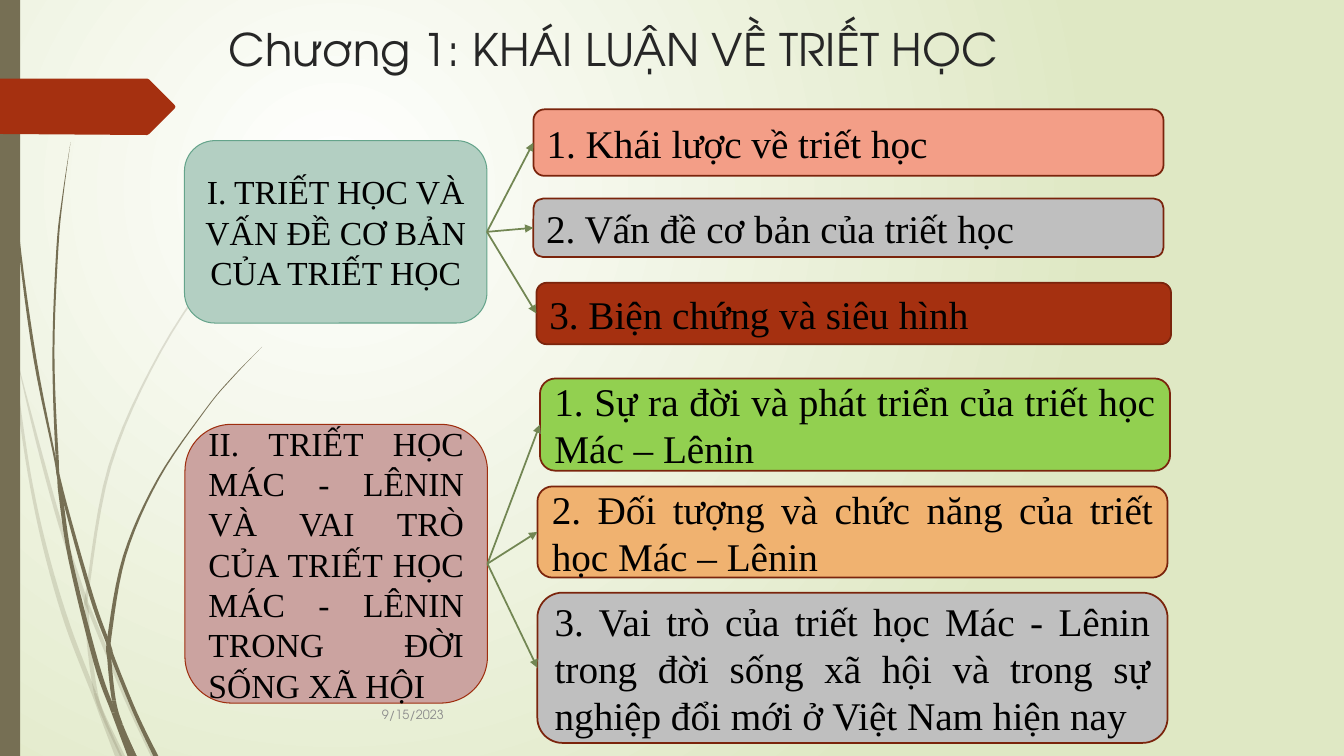
from dataclasses import dataclass

from lxml.etree import SubElement as Sub
from pptx import Presentation
from pptx.dml.color import RGBColor as Rgb
from pptx.enum.shapes import MSO_CONNECTOR as Link, MSO_SHAPE as Kind
from pptx.enum.text import MSO_ANCHOR as Anchor, PP_ALIGN as Align
from pptx.oxml.ns import qn
from pptx.util import Inches, Pt


@dataclass(frozen=True)
class Theme:
    head: str = "TeX Gyre Adventor"
    body: str = "Times New Roman"
    big: int = 32
    mid: int = 28
    small: int = 24
    tiny: int = 9
    ink: str = "000000"
    dark: str = "262626"
    gray: str = "8C8C8C"
    stem: str = "766F54"
    rust: str = "A53010"
    edge: str = "7A240C"
    arrow: str = "728653"
    glow: tuple = ("FFFFFF", "DFE8C4")


LOOK = Theme()
COLS, ROWS = 1333, 750
CELL = Inches(7.5) // ROWS

# Stems: joints by index, then (column, row, width) down the spine
PALE = [
    ((1, 7),
     [(0, 290, 2), (10, 345, 3), (15, 376, 3), (29, 470, 3), (45, 545, 4),
      (67, 620, 5), (94, 690, 5), (103, 713, 6), (119, 750, 10)]),
    ((3, 4),
     [(14, 345, 0), (36, 434, 3), (60, 521, 4), (84, 593, 4), (90, 608, 4),
      (125, 693, 4), (152, 750, 5)]),
    ((5, 8, 9),
     [(312, 153, 0), (268, 198, 1), (228, 245, 2), (159, 349, 2),
      (109, 462, 3), (87, 584, 3), (86, 605, 4), (89, 646, 4),
      (95, 687, 4), (103, 712, 3), (120, 750, 2)]),
]
FULL = [
    ((6, 9),
     [(3.5, 0, 1), (4.5, 48, 1), (7.5, 110, 1), (18, 233, 2),
      (34.5, 355, 3), (55.5, 460, 2), (60, 490, 4), (70, 556, 4),
      (95.5, 658, 5), (113, 707, 5), (131, 750, 9)]),
    ((4, 5, 7, 8),
     [(70, 141, 0), (62.5, 193, 1), (57, 245, 2), (53, 349, 2),
      (56.5, 451, 3), (61, 485, 3), (90.5, 591, 4), (108, 640, 4),
      (112, 653, 4), (134, 707, 4), (154.5, 750, 5)]),
    ((5, 7, 8),
     [(260, 344, 0), (231, 374, 1), (204.5, 405.5, 1), (157, 475, 2),
      (123.5, 551.5, 3), (108.5, 632, 4), (108.5, 655, 4), (113, 695, 4),
      (120, 719, 4), (134, 750, 3)]),
]
TAG = [(0, 78), (146, 78), (148, 79), (173, 104), (174, 106), (173, 108),
       (148, 133), (146, 134), (0, 133)]

# Topics: box, fill, line, alignment, text, then points (box, fill, text)
TOPICS = [
    ((183, 139.5, 300, 181), "B3CFC2", "65A48B", Align.CENTER,
     "I. TRIẾT HỌC VÀ VẤN ĐỀ CƠ BẢN CỦA TRIẾT HỌC",
     [((529, 108.5, 625, 66), "F39E87", "1. Khái lược về triết học"),
      ((529, 197, 625, 58), "BFBFBF", "2. Vấn đề cơ bản của triết học"),
      ((532, 280.5, 629.5, 61), LOOK.rust, "3. Biện chứng và siêu hình")]),
    ((183.5, 421, 300, 276.5), "CBA3A0", "9E2E0F", Align.JUSTIFY,
     "II. TRIẾT HỌC MÁC - LÊNIN VÀ VAI TRÒ CỦA TRIẾT HỌC MÁC - LÊNIN "
     "TRONG ĐỜI SỐNG XÃ HỘI",
     [((535.5, 375.5, 625, 91.5), "92D050",
       "1. Sự ra đời và phát triển của triết học Mác – Lênin"),
      ((533, 482.5, 625, 90.5), "F0B270",
       "2. Đối tượng và chức năng của triết học Mác – Lênin"),
      ((533, 588, 625, 149), "BFBFBF",
       "3. Vai trò của triết học Mác - Lênin trong đời sống xã hội và "
       "trong sự nghiệp đổi mới ở Việt Nam hiện nay")]),
]


def put(item, vals):
    for key, val in vals.items():
        setattr(item, key, val)


def grid(*cells):
    return [round(cell * CELL) for cell in cells]


def paint(shape, fill, line=None, width=0):
    shape.shadow.inherit = False
    shape.fill.solid()
    shape.fill.fore_color.rgb = Rgb.from_string(fill)
    if line:
        shape.line.color.rgb = Rgb.from_string(line)
        shape.line.width = Pt(width)
    else:
        shape.line.fill.background()


def write(shape, text, font, size, hue, align, anchor, gap=0):
    frame = shape.text_frame
    put(frame, {"word_wrap": True, "vertical_anchor": anchor})
    para = frame.paragraphs[0]
    put(para, {"alignment": align, "space_before": Pt(gap)})
    run = para.add_run()
    run.text = text
    put(run.font, {"name": font, "size": Pt(size)})
    run.font.color.rgb = Rgb.from_string(hue)


def label(slide, box, *style):
    write(slide.shapes.add_textbox(*grid(*box)), *style)


def card(slide, box, fill, line, width, text, size, align, gap=0):
    shape = slide.shapes.add_shape(Kind.ROUNDED_RECTANGLE, *grid(*box))
    paint(shape, fill, line, width)
    write(shape, text, LOOK.body, size, LOOK.ink, align, Anchor.MIDDLE, gap)
    return shape


def arrow(slide, start, end):
    link = slide.shapes.add_connector(Link.STRAIGHT, 0, 0, 0, 0)
    link.begin_connect(start, 3)
    link.end_connect(end, 1)
    link.line.color.rgb = Rgb.from_string(LOOK.arrow)
    link.line.width = Pt(1.25)
    Sub(link.line._get_or_add_ln(), qn("a:tailEnd"), type="triangle")
    Sub(link._element.spPr, qn("a:effectLst"))


def outline(slide, dots, fill):
    dots = [grid(*dot) for dot in dots]
    pen = slide.shapes.build_freeform(*dots[0], scale=1)
    pen.add_line_segments(dots[1:], close=True)
    shape = pen.convert_to_shape()
    paint(shape, fill)
    return shape


def blend(a, b, c, d, t):
    """Catmull-Rom value between b and c."""
    return b + t / 2 * (c - a + t * (2 * a - 5 * b + 4 * c - d
                                     + t * (3 * (b - c) + d - a)))


def stem(slide, cuts, spine, alpha=None, steps=6):
    ends = [spine[0], *spine, spine[-1]]
    soft = [tuple(blend(*axis, i / steps) for axis in zip(*quad))
            for quad in zip(ends, ends[1:], ends[2:], ends[3:])
            for i in range(steps)] + [spine[-1]]
    for top, end in zip((0, *cuts), (*cuts, len(spine) - 1)):
        part = soft[top * steps:end * steps + 1]
        left = [(x - w / 2, y) for x, y, w in part]
        right = [(x + w / 2, y) for x, y, w in part]
        shape = outline(slide, left + right[::-1], LOOK.stem)
        if alpha:
            tint = shape._element.xpath(".//a:solidFill/a:srgbClr")[0]
            Sub(tint, qn("a:alpha"), val=str(alpha * 1000))


def backdrop(slide):
    fill = slide.background.fill
    fill.gradient()
    for stop, hue in zip(fill.gradient_stops, LOOK.glow):
        stop.color.rgb = Rgb.from_string(hue)
    grad = slide._element.xpath(".//a:gradFill")[0]
    grad.remove(grad.find(qn("a:lin")))
    ring = Sub(grad, qn("a:path"), {"path": "circle"})
    Sub(ring, qn("a:fillToRect"), l="50000", t="50000", r="100000", b="100000")


def main():
    deck = Presentation()
    put(deck, {"slide_width": COLS * CELL, "slide_height": ROWS * CELL})
    slide = deck.slides.add_slide(deck.slide_layouts[6])

    # Background and side decoration
    backdrop(slide)
    for cuts, spine in PALE:
        stem(slide, cuts, spine, alpha=20)
    for cuts, spine in FULL:
        stem(slide, cuts, spine)
    bar = slide.shapes.add_shape(Kind.RECTANGLE, *grid(0, 0, 20, ROWS))
    paint(bar, LOOK.stem)
    outline(slide, TAG, LOOK.rust)

    # Title and date
    label(slide, (217, 17, 900, 92), "Chương 1: KHÁI LUẬN VỀ TRIẾT HỌC",
          LOOK.head, LOOK.big, LOOK.dark, Align.LEFT, Anchor.TOP)
    label(slide, (217, 683, 233, 52), "9/15/2023",
          LOOK.head, LOOK.tiny, LOOK.gray, Align.RIGHT, Anchor.MIDDLE)

    # Topics with their points
    for box, fill, line, align, text, points in TOPICS:
        topic = card(slide, box, fill, line, 0.75, text, LOOK.small, align)
        for place, hue, words in points:
            point = card(slide, place, hue, LOOK.edge, 1.25, words,
                         LOOK.mid, Align.JUSTIFY, gap=5.6)
            arrow(slide, topic, point)

    deck.save("out.pptx")


if __name__ == "__main__":
    main()
